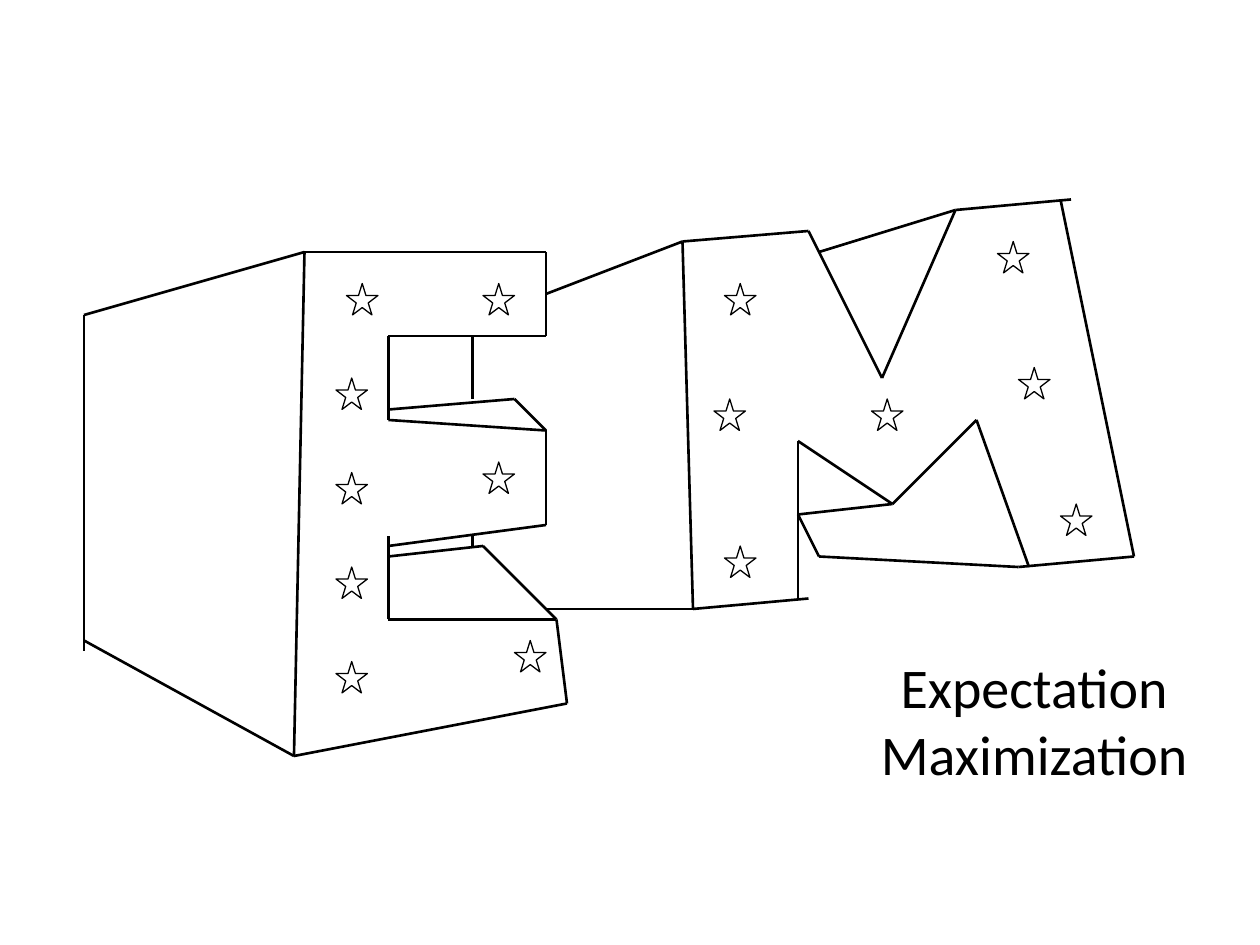
from itertools import pairwise
from typing import NamedTuple

from lxml import etree
from pptx import Presentation
from pptx import util as u
from pptx.dml.color import RGBColor
from pptx.enum import shapes, text
from pptx.oxml.ns import qn

COLUMNS, ROWS = 120, 90
STAR_SPAN = 3
INK = "000000"


class Point(NamedTuple):
    """A place on the slide grid, in columns and rows."""
    column: int
    row: int


class Letter(NamedTuple):
    """A block letter: its strokes as point chains, and its stars' corners."""
    strokes: list[list[tuple[int, int]]]
    stars: list[tuple[int, int]]


LETTER_E = Letter(
    strokes=[
        [(8, 62), (8, 30), (29, 24), (52, 24), (52, 32), (37, 32),
         (37, 40), (52, 41), (52, 50), (37, 52)],
        [(8, 61), (28, 72), (54, 67), (53, 59), (37, 59), (37, 51)],
        [(29, 24), (28, 72)],
        [(53, 59), (46, 52), (37, 53)],
        [(52, 41), (49, 38), (37, 39)],
    ],
    stars=[(33, 27), (46, 27), (32, 36), (32, 45), (32, 54), (32, 63),
           (46, 44), (49, 61)],
)
LETTER_M = Letter(
    strokes=[
        [(66, 58), (65, 23), (77, 22), (84, 36), (91, 20), (102, 19)],
        [(66, 58), (77, 57)],
        [(97, 54), (108, 53), (101, 19)],
        [(76, 57), (76, 42), (85, 48), (93, 40), (98, 54)],
        [(91, 20), (78, 24)],
        [(97, 54), (78, 53), (76, 49), (85, 48)],
        [(65, 23), (52, 28)],
        [(66, 58), (52, 58)],
        [(45, 32), (45, 38)],
        [(45, 51), (45, 52)],
    ],
    stars=[(69, 27), (68, 38), (69, 52), (83, 38), (95, 23), (97, 35),
           (101, 48)],
)


def color(value: str) -> RGBColor:
    """Turn a hex string into a colour."""
    return RGBColor.from_string(value)


def grid(deck, column: int, row: int) -> tuple[int, int]:
    """Convert columns and rows to slide lengths."""
    return deck.slide_width * column // COLUMNS, deck.slide_height * row // ROWS


def draw_stroke(deck, slide, chain: list[tuple[int, int]]) -> None:
    """Join each point of the chain to the next with a line."""
    for start, end in pairwise(Point(*place) for place in chain):
        edge = slide.shapes.add_connector(
            shapes.MSO_CONNECTOR.STRAIGHT, *grid(deck, *start), *grid(deck, *end))
        edge.line.color.rgb = color(INK)
        edge.line.width = u.Pt(1.5)
        etree.SubElement(edge._element.spPr, qn("a:effectLst"))


def draw_star(deck, slide, corner: Point) -> None:
    """Draw an outlined star with its top left at the corner."""
    star = slide.shapes.add_shape(
        shapes.MSO_SHAPE.STAR_5_POINT, *grid(deck, *corner),
        *grid(deck, STAR_SPAN, STAR_SPAN))
    star.shadow.inherit = False
    star.fill.background()
    star.line.color.rgb = color(INK)
    star.line.width = u.Pt(0.75)


def draw_letter(deck, slide, letter: Letter) -> None:
    """Draw the strokes of a letter and then its stars."""
    for chain in letter.strokes:
        draw_stroke(deck, slide, chain)
    for corner in letter.stars:
        draw_star(deck, slide, Point(*corner))


def write_title(deck, slide, wording: str) -> None:
    """Move the title to the lower right and format it."""
    title = slide.shapes.title
    title.left, title.top = grid(deck, 77, 57)
    title.width, title.height = grid(deck, 43, 23)
    frame = title.text_frame
    frame.text = wording
    frame.word_wrap = True
    frame.vertical_anchor = text.MSO_ANCHOR.MIDDLE
    line = frame.paragraphs[0]
    line.alignment = text.PP_ALIGN.CENTER
    font = line.runs[0].font
    font.name, font.size = "Calibri", u.Pt(32)
    font.color.rgb = color(INK)


def main() -> None:
    """Build the slide and save it."""
    deck = Presentation()
    deck.slide_width, deck.slide_height = u.Inches(10), u.Inches(7.5)
    slide = deck.slides.add_slide(deck.slide_layouts[5])
    write_title(deck, slide, "Expectation Maximization")
    for letter in (LETTER_E, LETTER_M):
        draw_letter(deck, slide, letter)
    deck.save("out.pptx")


if __name__ == "__main__":
    main()
